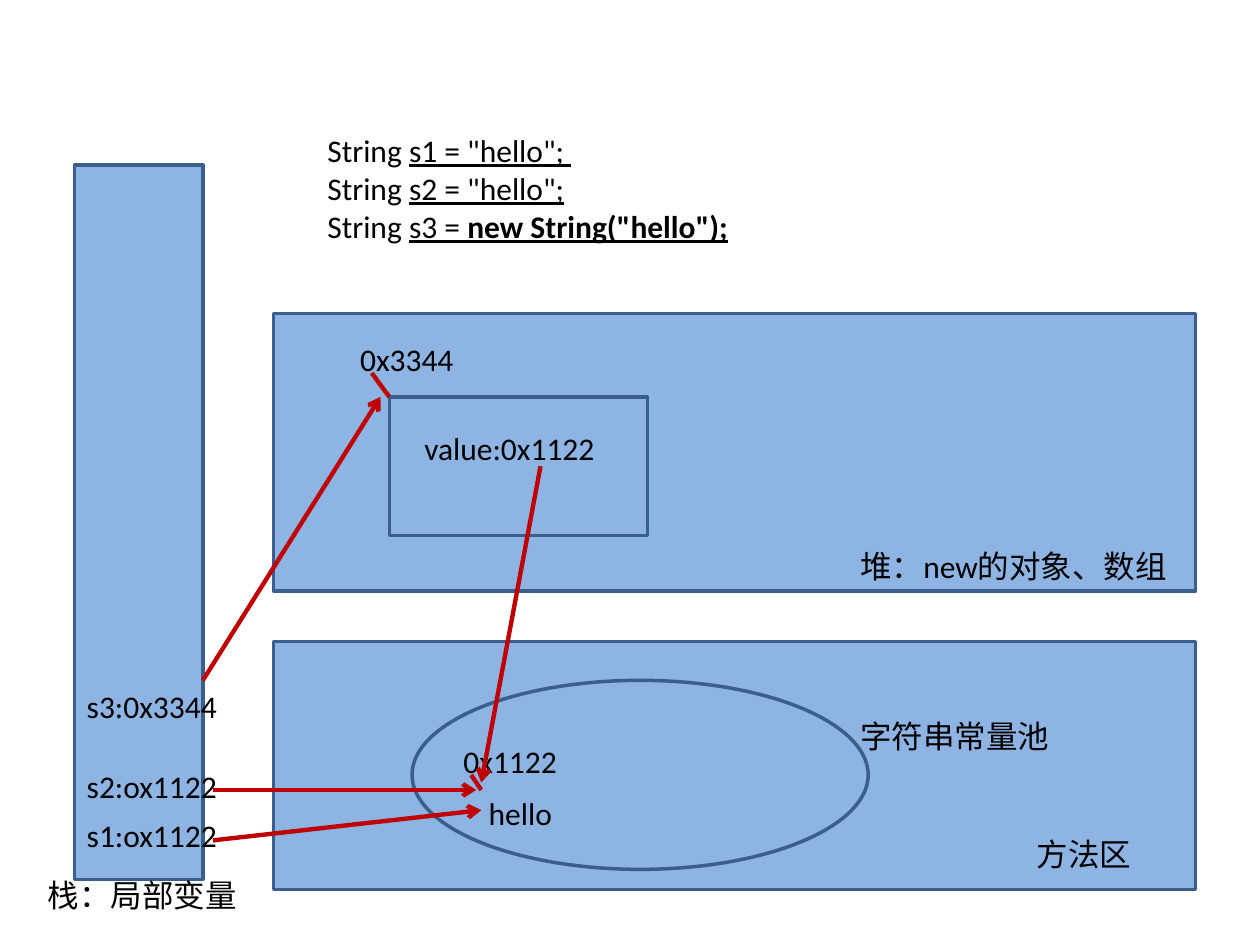
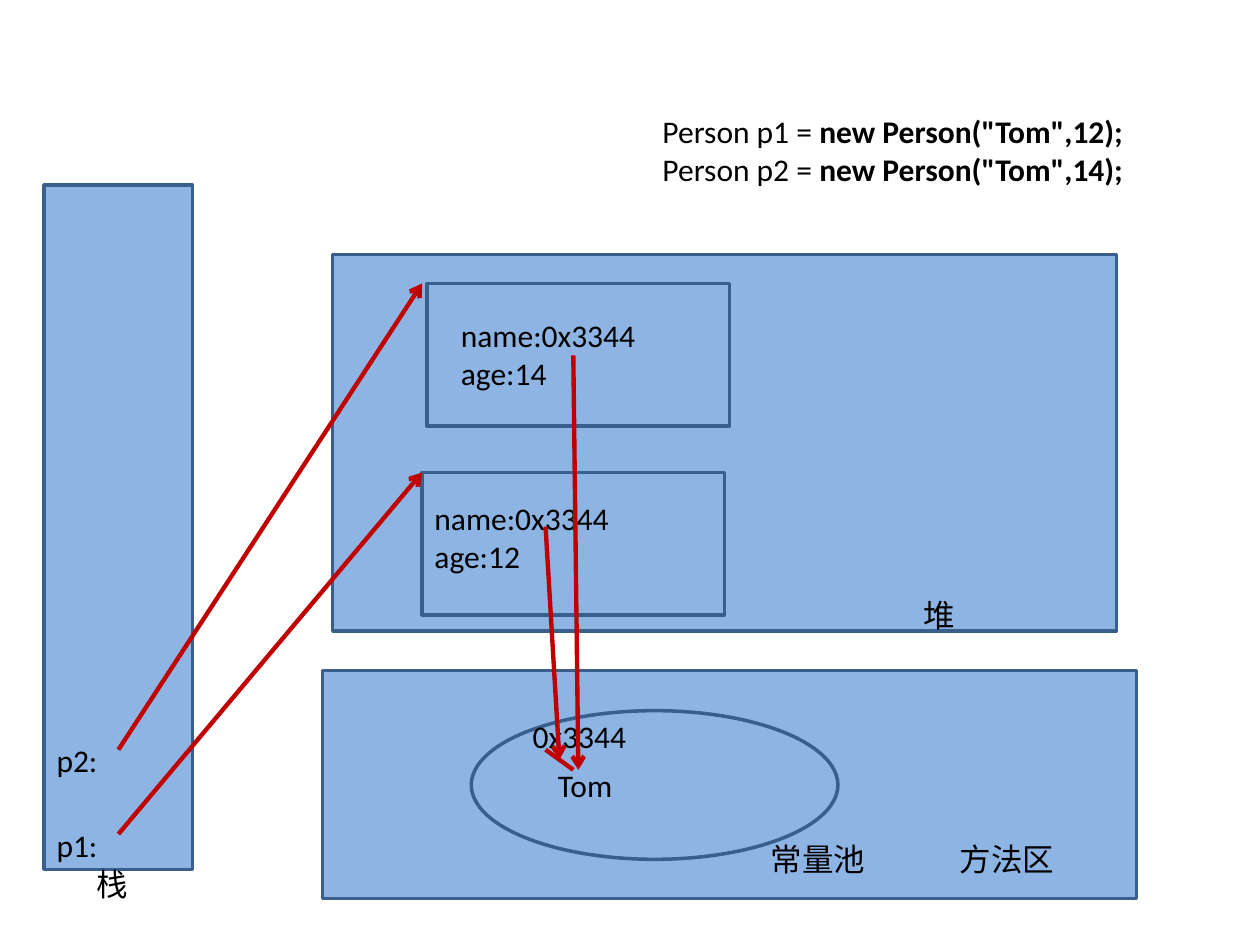
from lxml.etree import SubElement
from pptx import Presentation
from pptx.dml.color import RGBColor
from pptx.enum.shapes import MSO_CONNECTOR as CONNECTOR, MSO_SHAPE as SHAPE
from pptx.oxml.ns import qn
from pptx.util import Inches, Pt

AREA_FILL = "8EB4E3"
AREA_LINE = "3A5F8C"
ARROW_COLOR = "C00000"
TEXT_COLOR = "000000"
FONT = "Calibri"
rgb = RGBColor.from_string


def add_label(slide, box, paragraphs):
    """Each paragraph is a list of (text, style) runs; style may hold b and u."""
    frame = slide.shapes.add_textbox(*map(Inches, box)).text_frame
    frame.word_wrap = True
    for index, runs in enumerate(paragraphs):
        paragraph = frame.add_paragraph() if index else frame.paragraphs[0]
        for text, style in runs:
            run = paragraph.add_run()
            run.text = text
            run.font.name = FONT
            run.font.size = Pt(18)
            run.font.color.rgb = rgb(TEXT_COLOR)
            run.font.bold = "b" in style
            run.font.underline = "u" in style


def add_line(slide, ends, arrowhead):
    line = slide.shapes.add_connector(CONNECTOR.STRAIGHT, *map(Inches, ends))
    line.line.color.rgb = rgb(ARROW_COLOR)
    line.line.width = Pt(2.5)
    if arrowhead:
        SubElement(line.line._get_or_add_ln(), qn("a:tailEnd"), type="arrow")
    SubElement(line._element.spPr, qn("a:effectLst"))


string_memory = {
    "areas": [
        (SHAPE.RECTANGLE, (0.59, 1.31, 1.02, 5.67)),  # stack
        (SHAPE.RECTANGLE, (2.17, 2.49, 7.32, 2.2)),  # heap
        (SHAPE.RECTANGLE, (2.17, 5.09, 7.32, 1.97)),  # method area
        (SHAPE.OVAL, (3.27, 5.4, 3.62, 1.5)),  # string pool
        (SHAPE.RECTANGLE, (3.09, 3.15, 2.05, 1.1)),  # String object
    ],
    "code_box": (2.5, 0.99, 5, 1.01),
    "code": [
        [("String ", ""), ('s1 = "hello"; ', "u")],
        [("String ", ""), ('s2 = "hello";', "u")],
        [("String ", ""), ("s3 = ", "u"), ('new String("hello");', "bu")],
    ],
    "labels": [
        ((0.28, 6.9, 2.05, 0.4), ["栈：局部变量"]),
        ((6.73, 4.29, 2.8, 0.4), ["堆：new的对象、数组"]),
        ((8.13, 6.58, 1.14, 0.4), ["方法区"]),
        ((6.73, 5.64, 1.73, 0.4), ["字符串常量池"]),
        ((0.59, 6.43, 1.34, 0.4), ["s1:ox1122"]),
        ((0.59, 6.04, 1.34, 0.4), ["s2:ox1122"]),
        ((0.59, 5.4, 1.34, 0.4), ["s3:0x3344"]),
        ((3.78, 6.25, 1.22, 0.4), ["hello"]),
        ((3.58, 5.84, 1.2, 0.4), ["0x1122"]),
        ((2.76, 2.65, 1.77, 0.4), ["0x3344"]),
        ((3.27, 3.36, 1.6, 0.4), ["value:0x1122"]),
    ],
    "address_ticks": [(3.74, 6.15, 3.82, 6.27), (2.95, 2.96, 3.09, 3.15)],
    "references": [
        (1.69, 6.67, 3.82, 6.43),
        (1.69, 6.27, 3.78, 6.27),
        (1.61, 5.4, 3.02, 3.15),
        (4.29, 3.7, 3.82, 6.21),
    ],
}

person_memory = {
    "areas": [
        (SHAPE.RECTANGLE, (0.35, 1.47, 1.18, 5.43)),  # stack
        (SHAPE.RECTANGLE, (2.64, 2.02, 6.22, 2.99)),  # heap
        (SHAPE.RECTANGLE, (2.56, 5.32, 6.46, 1.81)),  # method area
        (SHAPE.OVAL, (3.74, 5.64, 2.91, 1.18)),  # constant pool
        (SHAPE.RECTANGLE, (3.35, 3.75, 2.4, 1.13)),  # first Person
        (SHAPE.RECTANGLE, (3.39, 2.25, 2.4, 1.13)),  # second Person
    ],
    "code_box": (5.16, 0.84, 4.07, 0.71),
    "code": [
        [("Person p1 = ", ""), ('new Person("Tom",12);', "b")],
        [("Person p2 = ", ""), ('new Person("Tom",14);', "b")],
    ],
    "labels": [
        ((0.67, 6.82, 1.02, 0.4), ["栈"]),
        ((7.23, 4.68, 1.02, 0.4), ["堆"]),
        ((7.52, 6.62, 1.02, 0.4), ["方法区"]),
        ((6.02, 6.62, 1.17, 0.4), ["常量池"]),
        ((0.35, 6.51, 1.89, 0.4), ["p1:"]),
        ((0.35, 5.83, 1.89, 0.4), ["p2:"]),
        ((3.35, 3.91, 1.97, 0.71), ["name:0x3344", "age:12"]),
        ((3.56, 2.46, 1.97, 0.71), ["name:0x3344", "age:14"]),
        ((4.33, 6.03, 0.87, 0.4), ["Tom"]),
        ((4.13, 5.64, 1.4, 0.4), ["0x3344"]),
    ],
    "address_ticks": [(4.33, 5.95, 4.55, 6.11)],
    "references": [
        (0.94, 6.62, 3.35, 3.75),
        (0.94, 5.95, 3.35, 2.25),
        (4.33, 4.18, 4.44, 6.03),
        (4.55, 2.82, 4.59, 6.11),
    ],
}

presentation = Presentation()
presentation.slide_width = Inches(10)
presentation.slide_height = Inches(7.5)

for diagram in (string_memory, person_memory):
    slide = presentation.slides.add_slide(presentation.slide_layouts[6])
    for kind, box in diagram["areas"]:
        shape = slide.shapes.add_shape(kind, *map(Inches, box))
        shape.shadow.inherit = False
        shape.fill.solid()
        shape.fill.fore_color.rgb = rgb(AREA_FILL)
        shape.line.color.rgb = rgb(AREA_LINE)
        shape.line.width = Pt(2)
    add_label(slide, diagram["code_box"], diagram["code"])
    for box, lines in diagram["labels"]:
        add_label(slide, box, [[(text, "")] for text in lines])
    for ends in diagram["address_ticks"]:
        add_line(slide, ends, arrowhead=False)
    for ends in diagram["references"]:
        add_line(slide, ends, arrowhead=True)

presentation.save("out.pptx")
